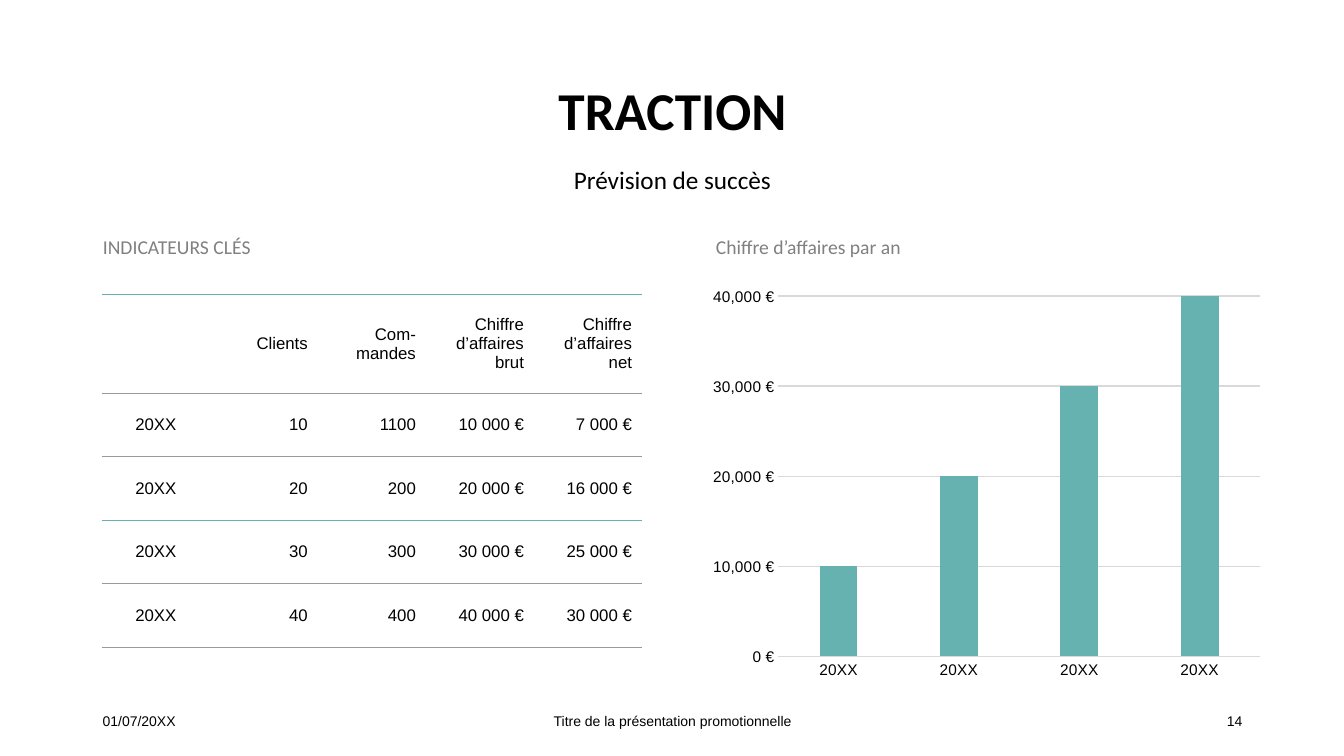
import pptx
import pptx.util
import pptx.dml.color
import pptx.chart.data
import pptx.enum.chart
import pptx.enum.text
import pptx.oxml
import pptx.oxml.ns

Inches, Pt = pptx.util.Inches, pptx.util.Pt
ALIGN, ANCHOR = pptx.enum.text.PP_ALIGN, pptx.enum.text.MSO_ANCHOR
TEAL, GRAY, BLACK = "66B2B0", "999999", "000000"


def color(value):
    return pptx.dml.color.RGBColor.from_string(value)


def style(font, name, size, value=BLACK, bold=False):
    font.name, font.size, font.bold = name, Pt(size), bold
    font.color.rgb = color(value)


deck = pptx.Presentation()
deck.slide_width, deck.slide_height = Inches(13.33), Inches(7.5)
page = deck.slides.add_slide(deck.slide_layouts[4])
holders = {holder.placeholder_format.idx: holder for holder in page.placeholders}

headings = [
    (0, "TRACTION", (1.72, 0.77, 9.9, 0.7), 38, BLACK, ALIGN.CENTER, ANCHOR.MIDDLE, 0.9),
    (2, "Prévision de succès", (1.72, 1.52, 9.9, 0.43), 18, BLACK, ALIGN.CENTER, ANCHOR.TOP, Pt(26)),
    (1, "INDICATEURS CLÉS", (0.92, 2.19, 5.64, 0.43), 14, "808080", ALIGN.LEFT, ANCHOR.BOTTOM, 0.9),
    (3, "Chiffre d’affaires par an", (7, 2.19, 4.74, 0.43), 14, "808080", ALIGN.LEFT, ANCHOR.BOTTOM, 0.9),
]
for index, text, place, size, ink, align, anchor, spacing in headings:
    box = holders[index]
    box.left, box.top, box.width, box.height = map(Inches, place)
    frame = box.text_frame
    frame.text = text
    frame.auto_size = pptx.enum.text.MSO_AUTO_SIZE.NONE
    frame.vertical_anchor = anchor
    para = frame.paragraphs[0]
    para.alignment, para.line_spacing, para.space_before = align, spacing, Pt(0)
    properties = para._p.get_or_add_pPr()
    properties.set("marL", "0")
    properties.set("indent", "0")
    properties.append(pptx.oxml.parse_xml(f'<a:buNone {pptx.oxml.ns.nsdecls("a")}/>'))
    style(para.font, "Calibri", size, ink, bold=index == 0)

unused = holders[4].element
unused.getparent().remove(unused)

rows = [
    ["", "Clients", "Com-mandes", "Chiffre d’affaires brut", "Chiffre d’affaires net"],
    ["20XX", "10", "1100", "10 000 €", "7 000 €"],
    ["20XX", "20", "200", "20 000 €", "16 000 €"],
    ["20XX", "30", "300", "30 000 €", "25 000 €"],
    ["20XX", "40", "400", "40 000 €", "30 000 €"],
]
rules = [TEAL, GRAY, GRAY, TEAL, GRAY, GRAY]
table_frame = page.shapes.add_table(
    len(rows), len(rows[0]), Inches(1.01), Inches(2.92), Inches(5.36), Inches(3.5))
table = table_frame.table
table.first_row = table.horz_banding = False
for style_id in table_frame.element.iter(pptx.oxml.ns.qn("a:tableStyleId")):
    style_id.text = "{2D5ABB26-0587-4C30-8999-92F81FD0307C}"
for column in table.columns:
    column.width = Inches(5.36 / len(rows[0]))
for row_index, values in enumerate(rows):
    table.rows[row_index].height = Inches(0.63 if row_index else 0.98)
    for column_index, value in enumerate(values):
        cell = table.cell(row_index, column_index)
        cell.text = value
        cell.vertical_anchor = ANCHOR.MIDDLE
        cell.fill.background()
        para = cell.text_frame.paragraphs[0]
        para.alignment = ALIGN.RIGHT if column_index else ALIGN.CENTER
        style(para.font, "Arial", 12)
        for position, side in enumerate("TB"):
            cell._tc.get_or_add_tcPr().insert(position, pptx.oxml.parse_xml(
                f'<a:ln{side} {pptx.oxml.ns.nsdecls("a")} w="12700"><a:solidFill>'
                f'<a:srgbClr val="{rules[row_index + position]}"/></a:solidFill></a:ln{side}>'))

footers = [
    ("01/07/20XX", 0.92, 3, ALIGN.LEFT),
    ("Titre de la présentation promotionnelle", 4.42, 4.5, ALIGN.CENTER),
    ("14", 9.42, 3, ALIGN.RIGHT),
]
for text, left, width, align in footers:
    frame = page.shapes.add_textbox(Inches(left), Inches(6.95), Inches(width), Inches(0.4)).text_frame
    frame.word_wrap = True
    frame.vertical_anchor = ANCHOR.MIDDLE
    frame.text = text
    para = frame.paragraphs[0]
    para.alignment = align
    style(para.font, "Arial", 10)

data = pptx.chart.data.CategoryChartData()
data.categories = ["20XX"] * 4
data.add_series("Series 1", [10000, 20000, 30000, 40000])
chart = page.shapes.add_chart(
    pptx.enum.chart.XL_CHART_TYPE.COLUMN_CLUSTERED,
    Inches(6.96), Inches(2.77), Inches(5.65), Inches(4.04), data).chart
chart.has_title = chart.has_legend = False
style(chart.font, "Arial", 10)
plot = chart.plots[0]
plot.gap_width, plot.overlap, plot.vary_by_categories = 219, -27, False
bars = plot.series[0].format.fill
bars.solid()
bars.fore_color.rgb = color(TEAL)

years, revenue = chart.category_axis, chart.value_axis
for axis in (years, revenue):
    axis.major_tick_mark = axis.minor_tick_mark = pptx.enum.chart.XL_TICK_MARK.NONE
    style(axis.tick_labels.font, "Arial", 11)
revenue.minimum_scale, revenue.maximum_scale, revenue.major_unit = 0, 40000, 10000
revenue.tick_labels.number_format = '#,##0\\ "€"'
revenue.tick_labels.number_format_is_linked = False
revenue.format.line.fill.background()
for line in (years.format.line, revenue.major_gridlines.format.line):
    line.color.rgb = color("D9D9D9")
    line.width = Pt(1.25)

deck.save("out.pptx")
